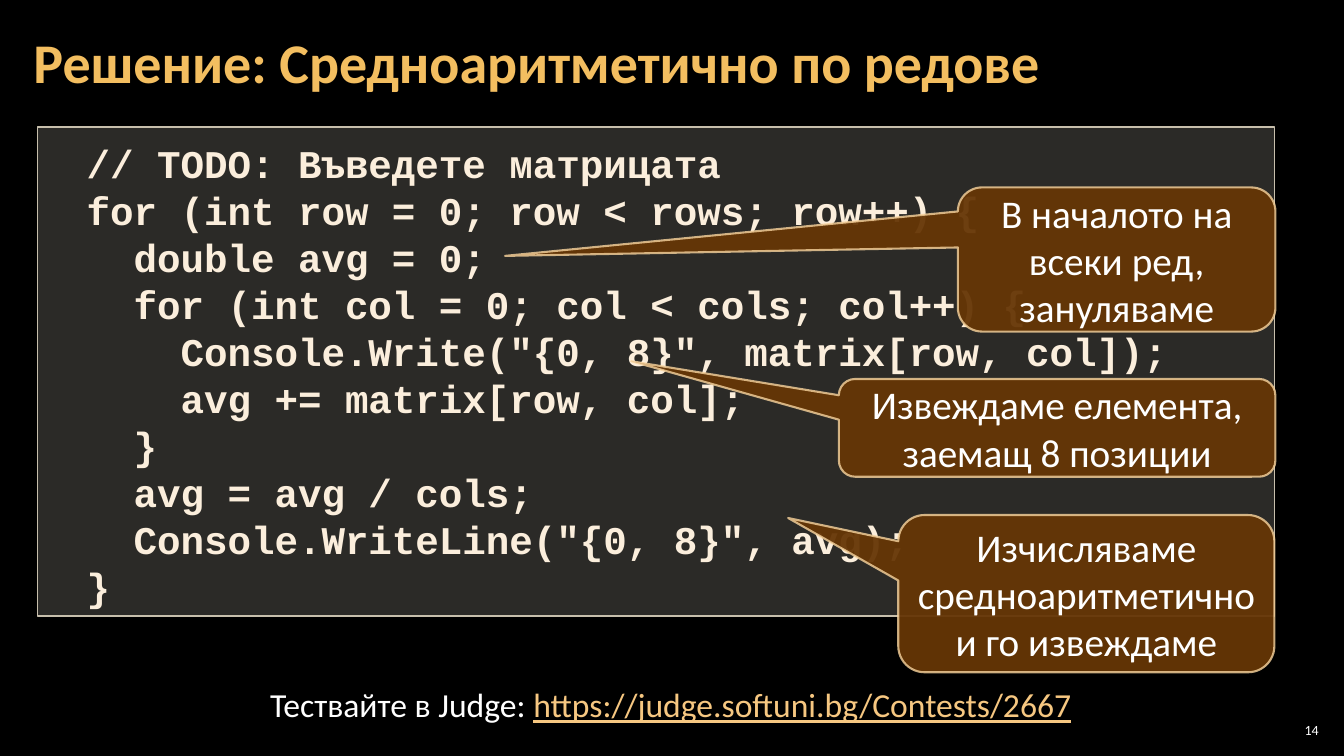
from dataclasses import dataclass

from lxml import etree
from pptx import Presentation
from pptx import util as u
from pptx.dml.color import RGBColor
from pptx.enum import shapes, text
from pptx.oxml.ns import qn


@dataclass(frozen=True)
class Theme:
    sans: str = "Calibri"
    mono: str = "Courier New"
    back: str = "000000"
    white: str = "FFFFFF"
    gold: str = "F3BE60"
    link: str = "F6C781"
    code: str = "FBEEDC"
    code_fill: str = "D9D5C7"
    code_line: str = "C7BFAC"
    callout_fill: str = "663606"
    callout_line: str = "F8D49E"
    title_size: int = 40
    body_size: int = 28
    note_size: int = 24
    number_size: int = 10


class Deck:
    WIDTH, HEIGHT = 13.33, 7.5
    COLUMNS, ROWS = 1333, 750

    def __init__(self, theme):
        self.theme = theme
        self.prs = Presentation()
        self.prs.slide_width = u.Inches(self.WIDTH)
        self.prs.slide_height = u.Inches(self.HEIGHT)
        self.slide = self.prs.slides.add_slide(self.prs.slide_layouts[5])
        self.paint(self.slide.background.fill, theme.back)

    def grid(self, left, top, width, height):
        col = self.prs.slide_width / self.COLUMNS
        row = self.prs.slide_height / self.ROWS
        return [round(n) for n in (left * col, top * row, width * col, height * row)]

    def paint(self, fill, rgb):
        fill.solid()
        fill.fore_color.rgb = RGBColor.from_string(rgb)

    def fade(self, parent, alpha):
        clr = parent.find(qn("a:solidFill")).find(qn("a:srgbClr"))
        etree.SubElement(clr, qn("a:alpha")).set("val", str(alpha * 1000))

    def frame(self, sp, anchor, insets=(0.1, 0.05)):
        tf = sp.text_frame
        tf.word_wrap = True
        tf.auto_size = text.MSO_AUTO_SIZE.NONE
        tf.vertical_anchor = anchor
        tf.margin_left = tf.margin_right = u.Inches(insets[0])
        tf.margin_top = tf.margin_bottom = u.Inches(insets[1])
        return tf

    def run(self, p, words, size, rgb, font=None, bold=False, underline=False):
        r = p.add_run()
        r.text = words
        r.font.name = font or self.theme.sans
        r.font.size = u.Pt(size)
        r.font.bold = bold
        r.font.underline = underline
        r.font.color.rgb = RGBColor.from_string(rgb)

    def shape(self, kind, box, fill, fill_alpha, line, line_width, line_alpha=100):
        sp = self.slide.shapes.add_shape(kind, *self.grid(*box))
        sp.shadow.inherit = False
        self.paint(sp.fill, fill)
        self.fade(sp.element.spPr, fill_alpha)
        self.paint(sp.line.fill, line)
        sp.line.width = u.Pt(line_width)
        self.fade(sp.element.spPr.find(qn("a:ln")), line_alpha)
        return sp

    def title(self, words, box):
        sp = self.slide.shapes.title
        sp.left, sp.top, sp.width, sp.height = self.grid(*box)
        p = self.frame(sp, text.MSO_ANCHOR.MIDDLE, (0.12, 0.04)).paragraphs[0]
        p.alignment = text.PP_ALIGN.LEFT
        p.line_spacing = 0.9
        self.run(p, words, self.theme.title_size, self.theme.gold, bold=True)

    def code(self, source, box):
        t = self.theme
        sp = self.shape(shapes.MSO_SHAPE.RECTANGLE, box, t.code_fill, 20, t.code_line, 1)
        tf = self.frame(sp, text.MSO_ANCHOR.TOP, (0.16, 0.12))
        for i, line in enumerate(source.splitlines()):
            p = tf.add_paragraph() if i else tf.paragraphs[0]
            p.alignment = text.PP_ALIGN.LEFT
            p.line_spacing = 1.0
            p._p.get_or_add_pPr().set("marL", str(u.Inches(0.33)))
            self.run(p, line, t.body_size, t.code, t.mono, bold=True)

    def callout(self, words, box, tip):
        t = self.theme
        sp = self.shape(shapes.MSO_SHAPE.ROUNDED_RECTANGULAR_CALLOUT, box,
                        t.callout_fill, 95, t.callout_line, 1.5, 80)
        for i, value in enumerate((*tip, 0.167)):
            sp.adjustments[i] = value
        p = self.frame(sp, text.MSO_ANCHOR.MIDDLE).paragraphs[0]
        p.alignment = text.PP_ALIGN.CENTER
        self.run(p, words, t.body_size, t.white)

    def label(self, runs, box, size, align, anchor, insets=(0.1, 0.05)):
        sp = self.slide.shapes.add_textbox(*self.grid(*box))
        p = self.frame(sp, anchor, insets).paragraphs[0]
        p.alignment = align
        for words, rgb, underline in runs:
            self.run(p, words, size, rgb, underline=underline)


CODE = """\
// TODO: Въведете матрицата
for (int row = 0; row < rows; row++) {
  double avg = 0;
  for (int col = 0; col < cols; col++) {
    Console.Write("{0, 8}", matrix[row, col]);
    avg += matrix[row, col];
  }
  avg = avg / cols;
  Console.WriteLine("{0, 8}", avg);
}"""

CALLOUTS = [
    ("В началото на всеки ред, зануляваме", (950, 186, 315, 143), (-1.926, -0.025)),
    ("Извеждаме елемента, заемащ 8 позиции", (832, 376, 433, 97), (-0.976, -0.682)),
    ("Изчисляваме средноаритметично и го извеждаме", (891, 511, 373, 156), (-0.793, -0.481)),
]


def main():
    theme = Theme()
    deck = Deck(theme)
    deck.title("Решение: Средноаритметично по редове", (21, 4, 1291, 121))
    deck.code(CODE, (37, 126, 1227, 485))
    for words, box, tip in CALLOUTS:
        deck.callout(words, box, tip)
    deck.label([("14", theme.white, False)], (1265, 714, 47, 21), theme.number_size,
               text.PP_ALIGN.RIGHT, text.MSO_ANCHOR.MIDDLE, (0.04, 0.04))
    deck.label([("Тествайте в Judge: ", theme.white, False),
                ("https://judge.softuni.bg/Contests/2667", theme.link, True)],
               (258, 674, 836, 50), theme.note_size,
               text.PP_ALIGN.LEFT, text.MSO_ANCHOR.TOP)
    deck.prs.save("out.pptx")


if __name__ == "__main__":
    main()
